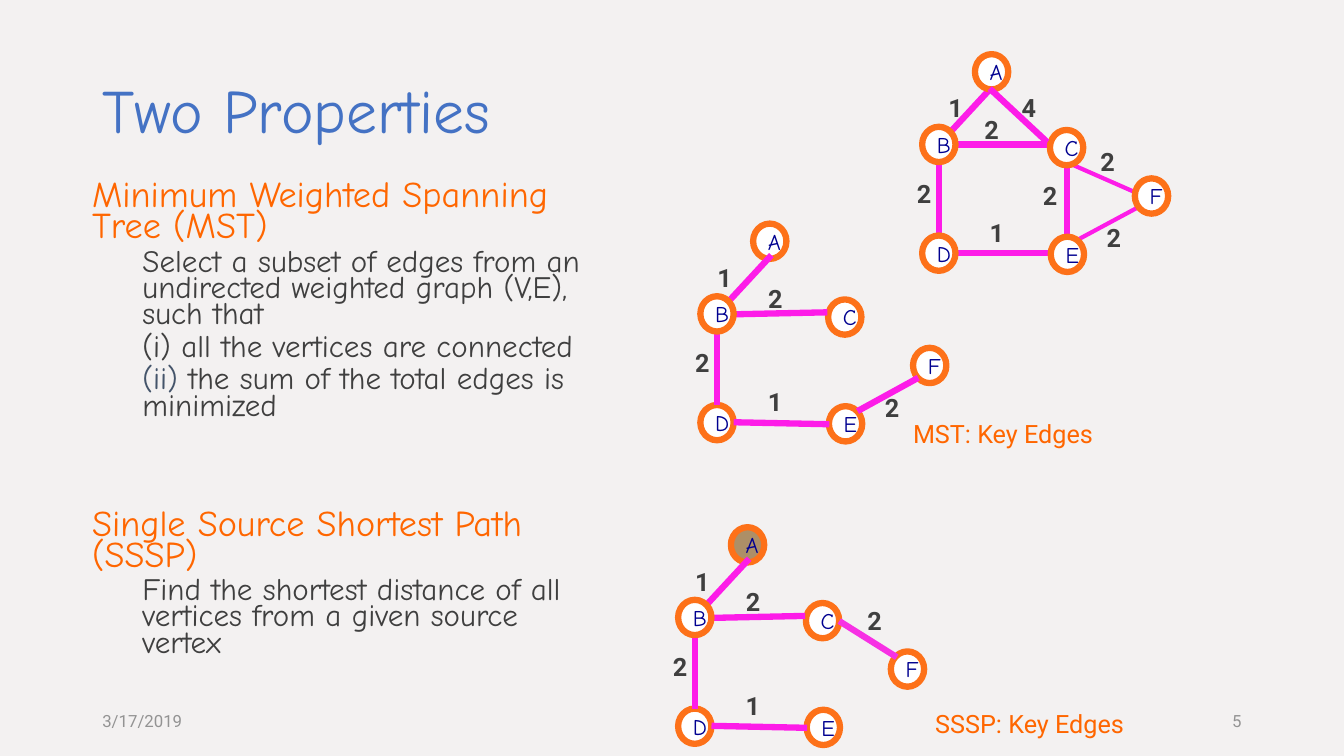
from dataclasses import dataclass, field
from typing import Any

import pptx
import pptx.dml.color
import pptx.enum.shapes
import pptx.enum.text
import pptx.oxml.ns
import pptx.util
from lxml import etree

Cm, Pt = pptx.util.Cm, pptx.util.Pt
Kind = pptx.enum.shapes.MSO_SHAPE
Align = pptx.enum.text.PP_ALIGN
Anchor = pptx.enum.text.MSO_ANCHOR

HUES = {
    "back": "F3F1F1", "title": "4472C4", "head": "FF6600", "text": "3F3F3F",
    "slate": "44546A", "edge": "FD1CE8", "link": "F731E4", "ring": "FD7119",
    "node": "FFFFFF", "root": "AD8F67", "letter": "000090", "foot": "939393",
}
COMIC, ROBOTO = "Comic Neue", "Roboto"

# All graph places are in cm, measured from the centre of node B
NODES = {"A": (1.33, -1.83), "C": (3.22, 0.08), "D": (0, 2.74),
         "E": (3.24, 2.77), "F": (5.36, 1.3), "B": (0, 0)}
WIDE, HIGH = 0.84, 0.89
EDGES = {
    "AB": (0, 0, 1.37, -1.48), "AC": (1.28, -1.41, 2.73, -0.06),
    "BC": (0.42, 0.01, 2.78, -0.04), "BD": (0, 0.45, 0, 2.3),
    "DE": (0.42, 2.73, 2.83, 2.78), "EF": (3.54, 2.45, 5.07, 1.61),
    "CF": (3.64, 0.09, 5.09, 1),
}
MARKS = {
    "AB": (-0.24, -1.42), "AC": (1.84, -1.44), "BC": (1.04, -0.9),
    "BD": (-0.8, 0.72), "DE": (1.03, 1.71), "CE": (2.37, 0.77),
    "CF": (3.82, -0.09), "EF": (3.98, 1.84),
}
COSTS = {"AB": 1, "AC": 4, "DE": 1}  # every other edge costs 2


@dataclass
class Run:
    text: str
    size: float
    hue: str = "text"
    font: str = COMIC
    bold: bool = False


@dataclass
class Para:
    runs: list[Run]
    gap: float = 0
    inset: float = 0
    space: float = 1
    align: Any = Align.LEFT


@dataclass
class Graph:
    left: float
    top: float
    over: list[str]
    costs: list[str]
    under: list[str] = field(default_factory=list)
    moved: dict[str, tuple[float, float]] = field(default_factory=dict)
    root: str = "node"
    full: bool = False


GRAPHS = [
    Graph(23.66, 3.64, ["AC"], list(MARKS), under=["AB"], full=True,
          moved={"AB": (-0.01, -1.44), "BC": (0.9, -0.88)}),
    Graph(18.07, 7.91, ["AB", "BD", "DE", "EF", "BC"], ["AB", "BD", "DE", "EF", "BC"]),
    Graph(17.51, 15.56, ["AB", "BD", "DE", "BC", "CF"], ["AB", "BD", "DE", "BC", "CF"],
          moved={"CF": (4.1, -0.44)}, root="root"),
]


def tint(name: str) -> pptx.dml.color.RGBColor:
    return pptx.dml.color.RGBColor.from_string(HUES[name])


def write(frame: Any, paras: list[Para]) -> None:
    for i, para in enumerate(paras):
        line = frame.paragraphs[0] if i == 0 else frame.add_paragraph()
        if para.inset:
            line._p.get_or_add_pPr().set("marL", str(Cm(para.inset)))
        line.alignment = para.align
        line.line_spacing = para.space
        line.space_before = Pt(para.gap)
        for item in para.runs:
            run = line.add_run()
            run.text = item.text
            run.font.size = Pt(item.size)
            run.font.name = item.font
            run.font.bold = item.bold
            run.font.color.rgb = tint(item.hue)


def add_box(shapes: Any, left: float, top: float, width: float, height: float,
            paras: list[Para], anchor: Any = Anchor.TOP) -> None:
    frame = shapes.add_textbox(Cm(left), Cm(top), Cm(width), Cm(height)).text_frame
    frame.word_wrap = True
    frame.vertical_anchor = anchor
    write(frame, paras)


def add_form(shapes: Any, kind: Any, left: float, top: float, width: float,
             height: float, line: str, weight: float, fill: str = "") -> Any:
    form = shapes.add_shape(kind, Cm(left), Cm(top), Cm(width), Cm(height))
    form.shadow.inherit = False
    if fill:
        form.fill.solid()
        form.fill.fore_color.rgb = tint(fill)
    else:
        form.fill.background()
    form.line.color.rgb = tint(line)
    form.line.width = Pt(weight)
    return form


def add_edge(shapes: Any, graph: Graph, name: str) -> None:
    x1, y1, x2, y2 = EDGES[name]
    edge = shapes.add_connector(
        pptx.enum.shapes.MSO_CONNECTOR.STRAIGHT,
        Cm(graph.left + x1), Cm(graph.top + y1), Cm(graph.left + x2), Cm(graph.top + y2))
    edge.line.color.rgb = tint("link" if name == "CF" else "edge")
    edge.line.width = Pt(4.5)
    etree.SubElement(edge._element.spPr, pptx.oxml.ns.qn("a:effectLst"))


def add_node(shapes: Any, graph: Graph, name: str) -> None:
    x, y = NODES[name]
    node = add_form(shapes, Kind.OVAL, graph.left + x - WIDE / 2, graph.top + y - HIGH / 2,
                    WIDE, HIGH, "ring", 4.5, graph.root if name == "A" else "node")
    node.text_frame.vertical_anchor = Anchor.MIDDLE
    write(node.text_frame, [Para([Run(name, 16, "letter")], align=Align.CENTER)])


def add_graph(shapes: Any, graph: Graph) -> None:
    for name in graph.under:
        add_edge(shapes, graph, name)
    if graph.full:
        wedge = add_form(shapes, Kind.ISOSCELES_TRIANGLE, graph.left + 3.24,
                         graph.top + 0.42, 2.11, 2.16, "edge", 3)
        wedge.adjustments[0] = 0.45
        wedge.rotation = 90
        add_form(shapes, Kind.RECTANGLE, graph.left, graph.top, 3.23, 2.74, "edge", 4.5)
    for name in NODES:
        if name == "B":  # B lies above the edges that meet it
            for edge in graph.over:
                add_edge(shapes, graph, edge)
        add_node(shapes, graph, name)
    for name in graph.costs:
        x, y = graph.moved.get(name, MARKS[name])
        cost = Run(str(COSTS.get(name, 2)), 18, font=ROBOTO, bold=True)
        add_box(shapes, graph.left + x, graph.top + y, 1.04, 1.02, [Para([cost])])


def head(text: str, gap: float = 0) -> Para:
    return Para([Run(text, 25.9, "head")], gap, space=0.7)


def point(*runs: Run) -> Para:
    return Para(list(runs), 4.8, 1.27, 0.7)


def main() -> None:
    deck = pptx.Presentation()
    deck.slide_width, deck.slide_height = Cm(33.87), Cm(19.05)
    slide = deck.slides.add_slide(deck.slide_layouts[6])
    slide.background.fill.solid()
    slide.background.fill.fore_color.rgb = tint("back")
    shapes = slide.shapes

    # Title and body
    add_box(shapes, 2.33, 1.01, 29.21, 3.68,
            [Para([Run("Two Properties", 44, "title")], space=0.9)], Anchor.MIDDLE)
    add_box(shapes, 2.07, 4.5, 12.85, 13.1, [
        head("Minimum Weighted Spanning Tree (MST)"),
        point(Run("Select a subset of edges from an undirected weighted graph (V,E), such that", 22.2)),
        point(Run("(i) all the vertices are connected", 22.2)),
        point(Run("(ii) ", 22.2, "slate"),
              Run("the sum of the total edges is minimized", 22.2)),
        head("Single Source Shortest Path (SSSP)", 65),
        point(Run("Find the shortest distance of all vertices from a given source vertex", 22.2)),
    ])

    # Graphs
    for graph in GRAPHS:
        add_graph(shapes.add_group_shape().shapes, graph)

    # Captions
    for text, left, top in (("MST: Key Edges", 22.76, 10.41),
                            ("SSSP: Key Edges", 23.32, 17.73)):
        add_box(shapes, left, top, 5.72, 1.02, [Para([Run(text, 18, "head", ROBOTO)])])

    # Footer
    for text, left, align in (("3/17/2019", 2.33, Align.LEFT), ("5", 23.92, Align.RIGHT)):
        add_box(shapes, left, 17.66, 7.62, 1.01,
                [Para([Run(text, 12, "foot", ROBOTO)], align=align)], Anchor.MIDDLE)

    deck.save("out.pptx")


if __name__ == "__main__":
    main()
